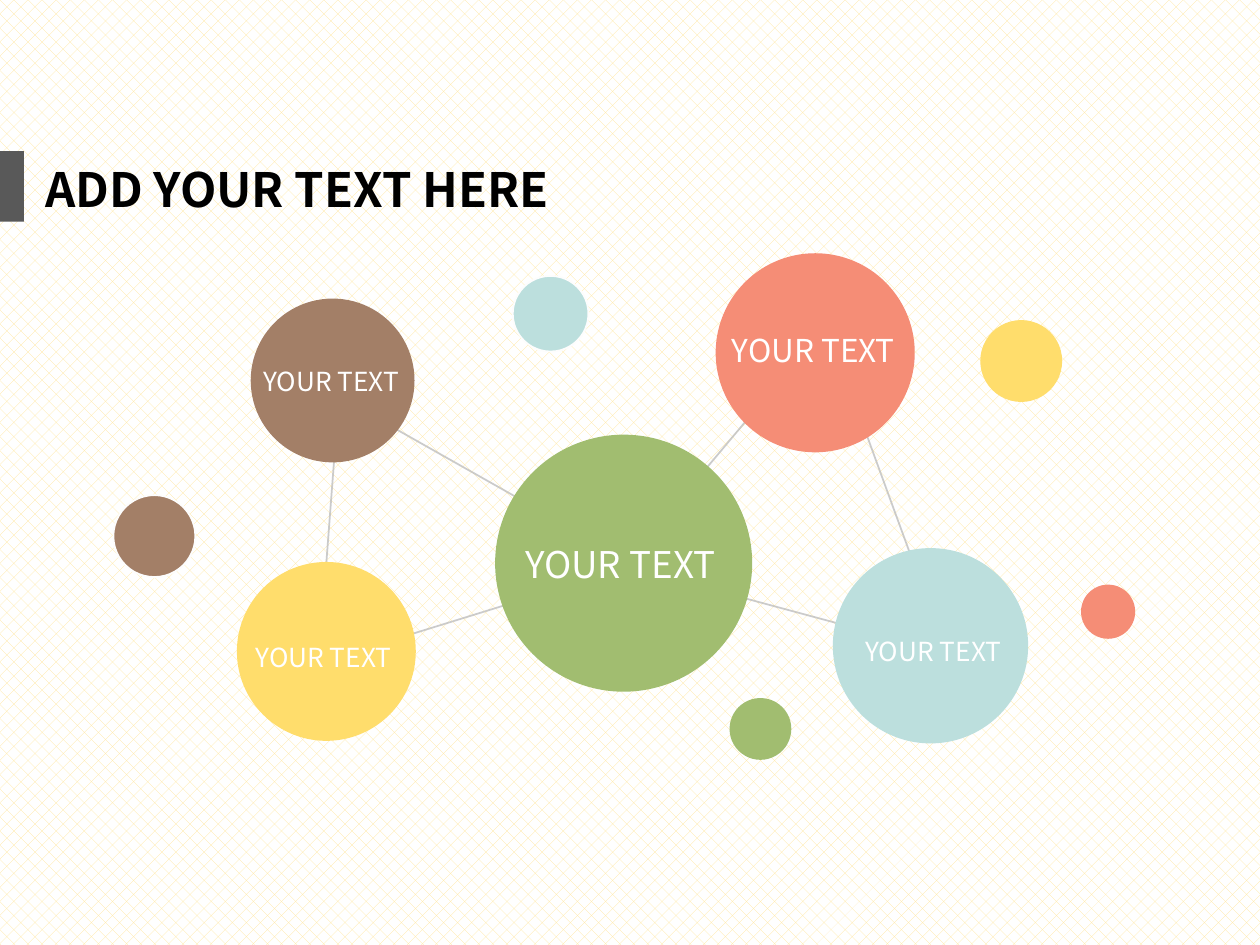
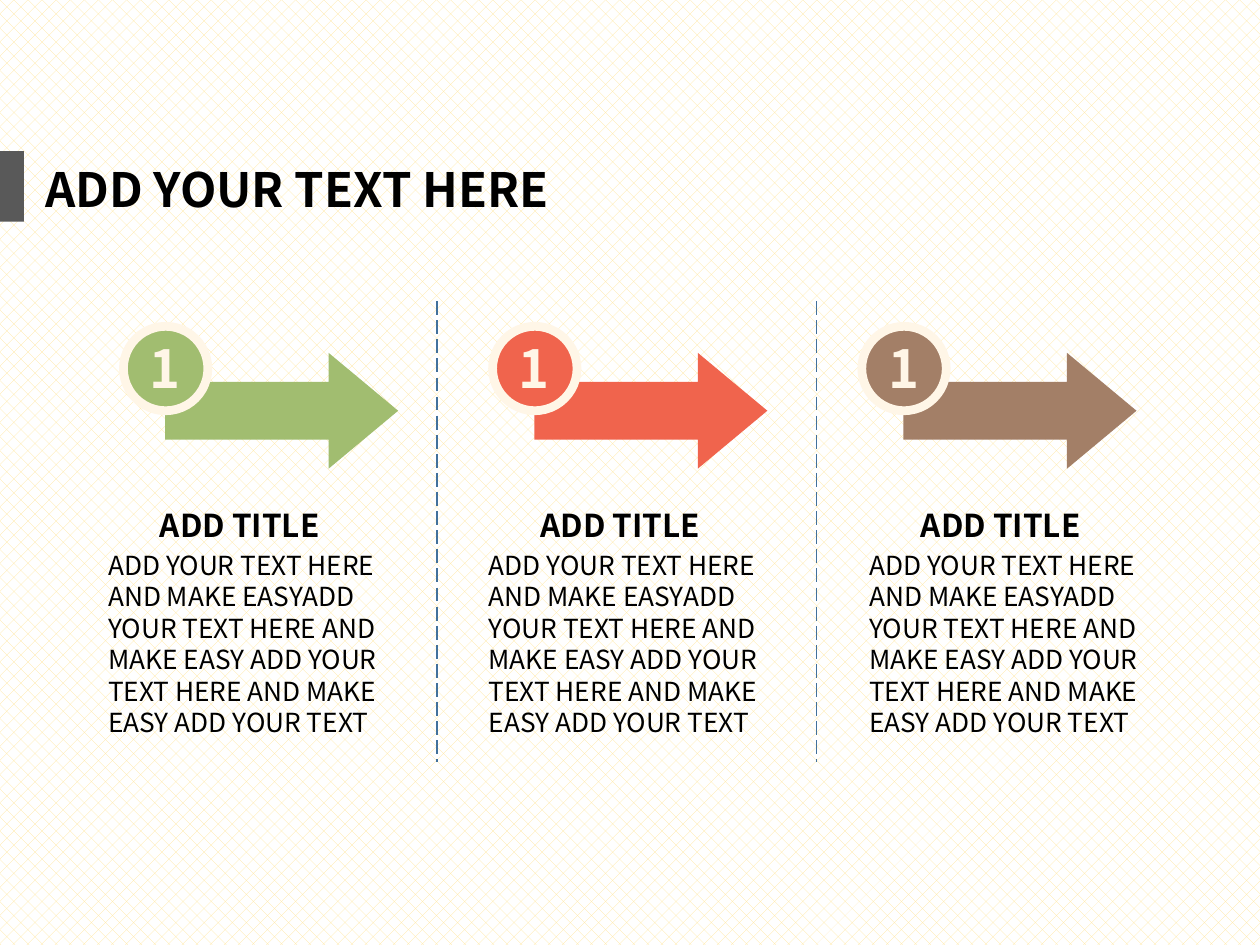
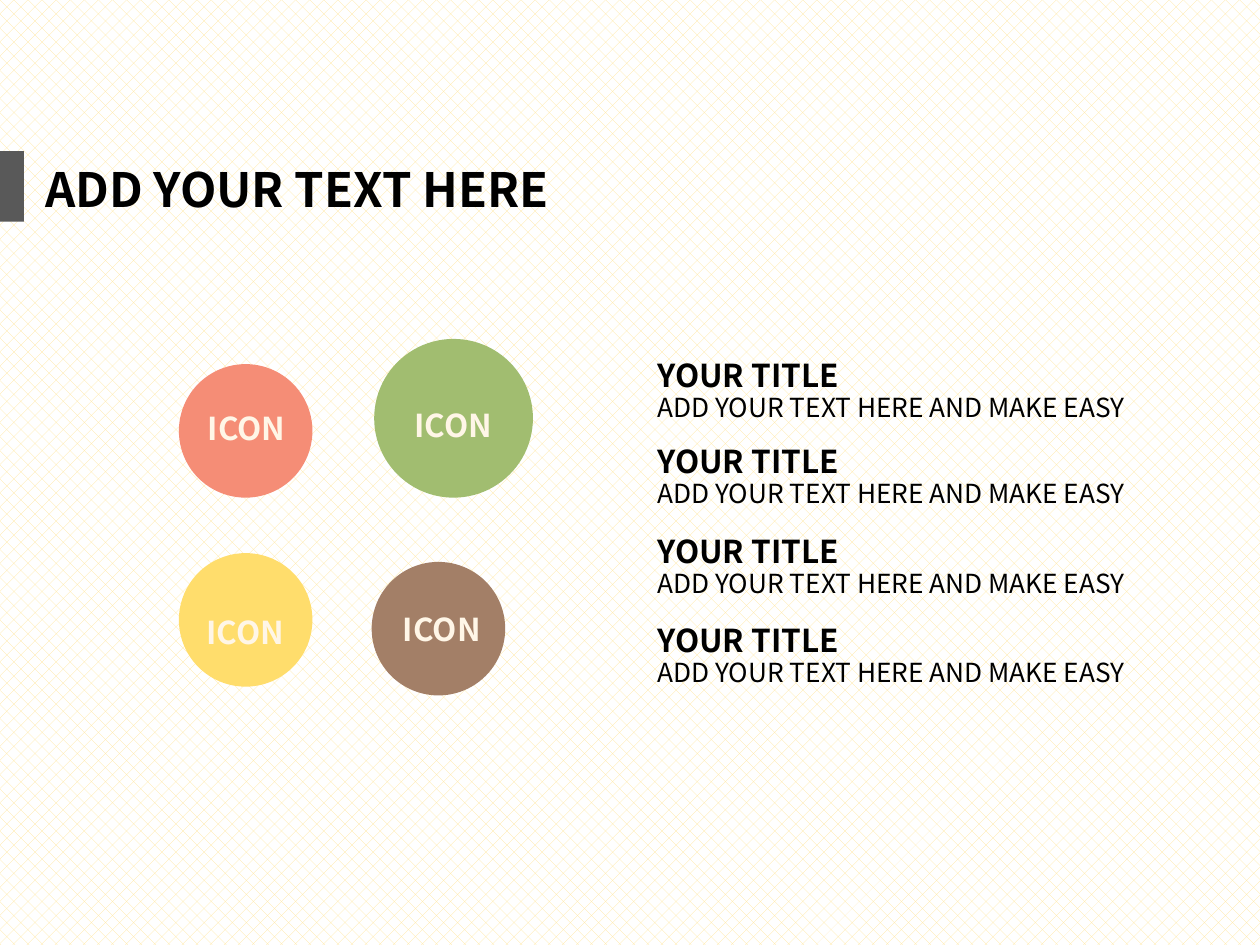
import pptx
import pptx.dml.color
import pptx.enum.dml
import pptx.enum.shapes
import pptx.enum.text
import pptx.oxml.ns
import pptx.util
from lxml import etree

Inches = pptx.util.Inches
Pt = pptx.util.Pt
hex_colour = pptx.dml.color.RGBColor.from_string
SHAPES = pptx.enum.shapes.MSO_SHAPE

FONT = "Noto Sans CJK SC"
GREEN = "A1BD70"
BROWN = "A37F67"
YELLOW = "FFDD6C"
CORAL = "F58D76"
AQUA = "BCDFDD"
RED = "F0644D"
CREAM = "FFF6E7"
WHITE = "FFFFFF"
BLACK = "000000"


def add_shape(parent, kind, left, top, width, height, fill, line=None, line_width=1):
    shape = parent.shapes.add_shape(
        kind, Inches(left), Inches(top), Inches(width), Inches(height))
    shape.shadow.inherit = False
    shape.fill.solid()
    shape.fill.fore_color.rgb = hex_colour(fill)
    if line:
        shape.line.color.rgb = hex_colour(line)
        shape.line.width = Pt(line_width)
    else:
        shape.line.fill.background()
    return shape


def add_text(parent, text, left, top, width, height, size, colour, bold=False, wrap=False):
    box = parent.shapes.add_textbox(
        Inches(left), Inches(top), Inches(width), Inches(height))
    box.text_frame.word_wrap = wrap
    box.text_frame.auto_size = pptx.enum.text.MSO_AUTO_SIZE.SHAPE_TO_FIT_TEXT
    para = box.text_frame.paragraphs[0]
    span = para.add_run()
    span.text = text
    span.font.name = FONT
    span.font.size = Pt(size)
    span.font.bold = bold
    span.font.color.rgb = hex_colour(colour)


deck = pptx.Presentation()
deck.slide_width = Inches(10)
deck.slide_height = Inches(7.5)

backdrop = deck.slide_master.background.fill
backdrop.patterned()
backdrop.pattern = pptx.enum.dml.MSO_PATTERN.PERCENT_25
backdrop.fore_color.rgb = hex_colour("FFE699")
backdrop.back_color.rgb = hex_colour(WHITE)

pages = []
for number in range(3):
    page = deck.slides.add_slide(deck.slide_layouts[6])
    add_shape(page, SHAPES.RECTANGLE, 0, 1.2, 0.19, 0.56, "595959")
    add_text(page, "ADD YOUR TEXT HERE", 0.26, 1.22, 4.51, 0.56, 27, BLACK, bold=True)
    pages.append(page)
network_page, steps_page, icons_page = pages

web_points = [(2.69, 3.15), (4.99, 4.45), (6.56, 2.58), (7.51, 5.18), (4.99, 4.5), (2.53, 5.26)]
web_builder = network_page.shapes.build_freeform(
    Inches(web_points[0][0]), Inches(web_points[0][1]))
web_builder.add_line_segments(
    [(Inches(x), Inches(y)) for x, y in web_points[1:]], close=True)
web = web_builder.convert_to_shape()
web.shadow.inherit = False
web.fill.background()
web.line.color.rgb = hex_colour("BFBFBF")
web.line.width = Pt(1)
web_colour = web.line._ln.find(".//" + pptx.oxml.ns.qn("a:srgbClr"))
etree.SubElement(web_colour, pptx.oxml.ns.qn("a:alpha"), val="80000")

circles = [
    (1.88, 4.46, 1.42, YELLOW, None),
    (1.99, 2.37, 1.3, BROWN, None),
    (3.93, 3.45, 2.04, GREEN, None),
    (5.68, 2.01, 1.58, CORAL, None),
    (6.61, 4.35, 1.55, AQUA, None),
    (5.79, 5.54, 0.49, GREEN, None),
    (0.9, 3.93, 0.65, BROWN, "FDFDFD"),
    (7.78, 2.54, 0.65, YELLOW, None),
    (8.58, 4.64, 0.43, CORAL, None),
    (4.07, 2.19, 0.6, AQUA, "FDFDFD"),
]
for left, top, diameter, fill, line in circles:
    add_shape(network_page, SHAPES.OVAL, left, top, diameter, diameter, fill, line)

circle_labels = [
    (4.07, 4.25, 1.81, 0.45, 21),
    (5.71, 2.58, 1.58, 0.4, 18),
    (1.99, 2.85, 1.35, 0.35, 15),
    (1.93, 5.04, 1.35, 0.35, 15),
    (6.77, 4.99, 1.35, 0.35, 15),
]
for left, top, width, height, size in circle_labels:
    add_text(network_page, "YOUR TEXT", left, top, width, height, size, WHITE)

step_text = ("ADD YOUR TEXT HERE AND MAKE EASYADD YOUR TEXT HERE AND MAKE EASY "
             "ADD YOUR TEXT HERE AND MAKE EASY ADD YOUR TEXT")
for step, colour in enumerate([GREEN, RED, BROWN]):
    arrow_shift = step * 2.93
    badge = steps_page.shapes.add_group_shape()
    arrow = add_shape(badge, SHAPES.RIGHT_ARROW, 1.31 + arrow_shift, 2.8, 1.85, 0.92, colour)
    arrow.adjustments[0] = 0.5
    arrow.adjustments[1] = 0.6
    add_shape(badge, SHAPES.OVAL, 0.98 + arrow_shift, 2.59, 0.67, 0.67, colour, CREAM, 5)
    add_text(badge, "1", 1.09 + arrow_shift, 2.62, 0.44, 0.61, 30, CREAM, bold=True, wrap=True)

    text_shift = step * 3.02
    caption = steps_page.shapes.add_group_shape()
    add_text(caption, step_text, 0.76 + text_shift, 4.31, 2.58, 1.87, 15, BLACK, wrap=True)
    add_text(caption, "ADD TITLE", 1.17 + text_shift, 3.97, 1.65, 0.4, 18, BLACK, bold=True)

for x in (3.47, 6.48):
    divider = steps_page.shapes.add_connector(
        pptx.enum.shapes.MSO_CONNECTOR.STRAIGHT,
        Inches(x), Inches(2.39), Inches(x), Inches(6.05))
    divider.line.color.rgb = hex_colour("42719B")
    divider.line.width = Pt(1)
    divider.line.dash_style = pptx.enum.dml.MSO_LINE.LONG_DASH
    etree.SubElement(divider._element.spPr, pptx.oxml.ns.qn("a:effectLst"))

icons = [
    (1.42, 2.89, 1.06, CORAL, 1.55, 3.2),
    (2.97, 2.69, 1.26, GREEN, 3.19, 3.17),
    (1.42, 4.39, 1.06, YELLOW, 1.54, 4.82),
    (2.95, 4.46, 1.06, BROWN, 3.1, 4.79),
]
for left, top, diameter, fill, label_left, label_top in icons:
    add_shape(icons_page, SHAPES.OVAL, left, top, diameter, diameter, fill)
    add_text(icons_page, "ICON", label_left, label_top, 0.87, 0.4, 18, CREAM, bold=True)

for top in (2.78, 3.46, 4.17, 4.88):
    entry = icons_page.shapes.add_group_shape()
    add_text(entry, "ADD YOUR TEXT HERE AND MAKE EASY", 5.12, top + 0.28, 4.25, 0.35, 15, BLACK)
    add_text(entry, "YOUR TITLE", 5.12, top, 1.7, 0.4, 18, BLACK, bold=True)

deck.save("out.pptx")
